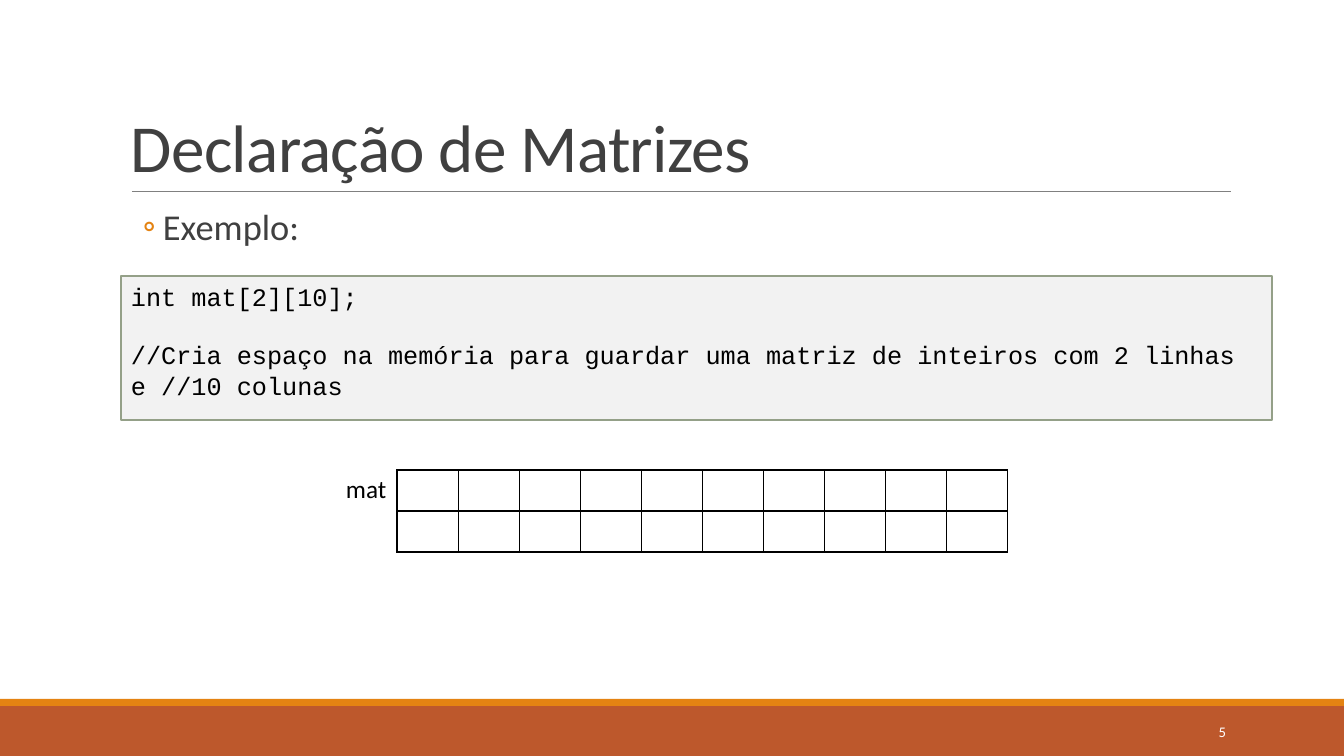
import pptx
import pptx.util
import pptx.dml.color
import pptx.enum.shapes
import pptx.enum.text
import pptx.oxml.ns
import lxml.etree

RGBColor = pptx.dml.color.RGBColor
SHAPE = pptx.enum.shapes.MSO_SHAPE
ANCHOR = pptx.enum.text.MSO_ANCHOR
ALIGN = pptx.enum.text.PP_ALIGN
Pt = pptx.util.Pt
qn = pptx.oxml.ns.qn

RUST = RGBColor(0xBD, 0x58, 0x2C)
ORANGE = RGBColor(0xE4, 0x83, 0x12)
RULE = RGBColor(0x80, 0x80, 0x80)
DARK = RGBColor(0x40, 0x40, 0x40)
PALE = RGBColor(0xF2, 0xF2, 0xF2)
SAGE = RGBColor(0x94, 0xA0, 0x88)
BLACK = RGBColor(0, 0, 0)
WHITE = RGBColor(0xFF, 0xFF, 0xFF)

TITLE = "Declaração de Matrizes"
BODY = "Exemplo:"
CODE = [
    "int mat[2][10];",
    "//Cria espaço na memória para guardar uma matriz de inteiros com 2 linhas e //10 colunas",
]
MATRIX_NAME = "mat"
MATRIX_ROWS, MATRIX_COLS = 2, 10
PAGE = "5"

WIDTH, HEIGHT = 1344, 756
BANDS = [(706, 50, RUST), (699, 7, ORANGE)]
TITLE_BOX = (121, 31, 1109, 160)
BODY_BOX = (121, 204, 1109, 444)
CODE_BOX = (121, 276, 1151, 144)
TABLE_BOX = (336, 470, 672, 82)
PAGE_BOX = (1092, 712, 144, 40)
RULE_LINE = (132, 191, 1231, 191)


def px(n):
    return round(n * 914400 / 100.8)


def box(b):
    return [px(n) for n in b]


def put_text(tf, lines, size=18, color=BLACK, font="Calibri", align=ALIGN.LEFT,
             anchor=ANCHOR.TOP, inset=10, leading=1.0, gap=0, after=0,
             tracking=0, bullet=None):
    tf.word_wrap = True
    tf.auto_size = pptx.enum.text.MSO_AUTO_SIZE.NONE
    tf.vertical_anchor = anchor
    tf.margin_left = tf.margin_right = px(inset)
    tf.margin_top = tf.margin_bottom = px(5)
    for i, line in enumerate(lines):
        p = tf.add_paragraph() if i else tf.paragraphs[0]
        p.alignment = align
        p.line_spacing = leading
        p.space_before = Pt(gap if i else 0)
        p.space_after = Pt(after)
        if bullet:
            add_bullet(p, bullet)
        r = p.add_run()
        r.text = line
        r.font.name = font
        r.font.size = Pt(size)
        r.font.color.rgb = color
        if tracking:
            r._r.get_or_add_rPr().set("spc", str(tracking))


def add_bullet(p, char):
    pPr = p._p.get_or_add_pPr()
    pPr.set("marL", str(px(42)))
    pPr.set("indent", str(px(-20)))
    clr = lxml.etree.SubElement(pPr, qn("a:buClr"))
    lxml.etree.SubElement(clr, qn("a:srgbClr"), val=str(ORANGE))
    lxml.etree.SubElement(pPr, qn("a:buFont"), typeface="Calibri")
    lxml.etree.SubElement(pPr, qn("a:buChar"), char=char)


def add_rect(s, b, fill, line=None):
    sp = s.shapes.add_shape(SHAPE.RECTANGLE, *box(b))
    sp.shadow.inherit = False
    sp.fill.solid()
    sp.fill.fore_color.rgb = fill
    if line:
        sp.line.color.rgb = line
        sp.line.width = Pt(1.75)
    else:
        sp.line.fill.background()
    return sp


def add_borders(cell, sides):
    tcPr = cell._tc.get_or_add_tcPr()
    for side in sides:
        ln = lxml.etree.SubElement(tcPr, qn("a:ln" + side), w=str(Pt(1)))
        fill = lxml.etree.SubElement(ln, qn("a:solidFill"))
        lxml.etree.SubElement(fill, qn("a:srgbClr"), val=str(BLACK))


def add_matrix(s):
    left, top, width, height = TABLE_BOX
    cols = MATRIX_COLS + 1
    table = s.shapes.add_table(MATRIX_ROWS, cols, *box(TABLE_BOX)).table
    table.first_row = table.horz_banding = False
    for col in table.columns:
        col.width = px(width / cols)
    for row in table.rows:
        row.height = px(height / MATRIX_ROWS)
        for i, cell in enumerate(row.cells):
            add_borders(cell, "LRTB" if i else "R")
            cell.fill.background()
            cell.margin_left = cell.margin_right = px(10)
            cell.margin_top = cell.margin_bottom = px(5)
    p = table.cell(0, 0).text_frame.paragraphs[0]
    r = p.add_run()
    r.text = MATRIX_NAME
    r.font.name = "Calibri"
    r.font.size = Pt(18)
    r.font.color.rgb = BLACK


def main():
    prs = pptx.Presentation()
    prs.slide_width, prs.slide_height = px(WIDTH), px(HEIGHT)
    s = prs.slides.add_slide(prs.slide_layouts[1])

    for top, height, color in BANDS:
        add_rect(s, (0, top, WIDTH, height), color)

    rule = s.shapes.add_connector(pptx.enum.shapes.MSO_CONNECTOR.STRAIGHT, *box(RULE_LINE))
    rule.line.color.rgb = RULE
    rule.line.width = Pt(0.5)
    lxml.etree.SubElement(rule._element.spPr, qn("a:effectLst"))

    title, body = s.shapes.title, s.placeholders[1]
    for sp, b in ((title, TITLE_BOX), (body, BODY_BOX)):
        sp.left, sp.top, sp.width, sp.height = box(b)
    put_text(title.text_frame, [TITLE], size=48, color=DARK, anchor=ANCHOR.BOTTOM,
             leading=0.85, tracking=-50)
    put_text(body.text_frame, [BODY], size=26, color=DARK, inset=0, leading=0.9,
             after=4, bullet="◦")

    code = add_rect(s, CODE_BOX, PALE, SAGE)
    put_text(code.text_frame, CODE, font="Courier New", gap=20.4)
    add_matrix(s)

    page = s.shapes.add_textbox(*box(PAGE_BOX))
    put_text(page.text_frame, [PAGE], size=10.5, color=WHITE, align=ALIGN.RIGHT,
             anchor=ANCHOR.MIDDLE)
    prs.save("out.pptx")


if __name__ == "__main__":
    main()
